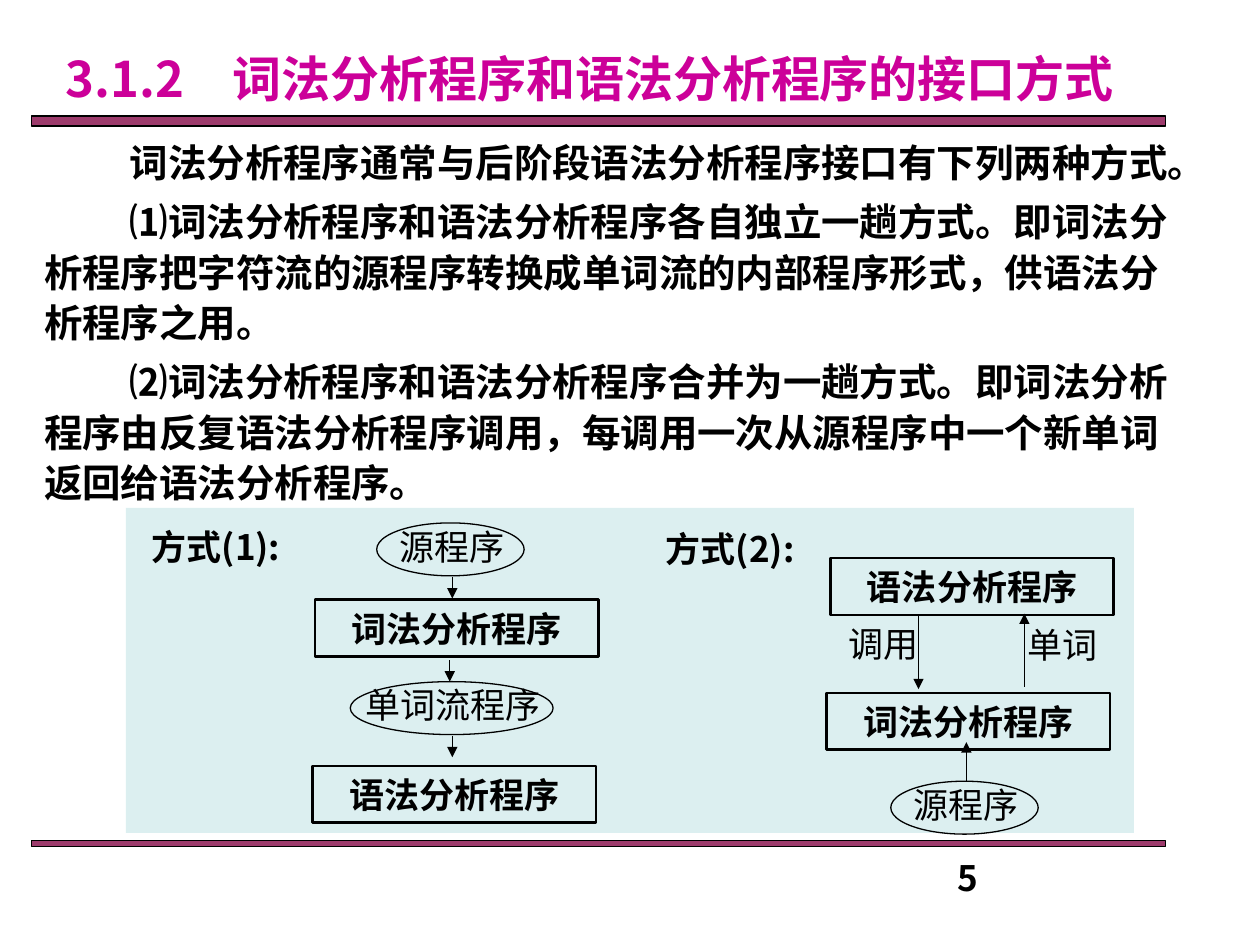
from lxml import etree
from pptx import Presentation
from pptx.dml.color import RGBColor
from pptx.enum.shapes import MSO_CONNECTOR, MSO_SHAPE
from pptx.enum.text import MSO_ANCHOR, MSO_AUTO_SIZE, PP_ALIGN
from pptx.oxml.ns import qn
from pptx.util import Inches, Pt

RECTANGLE, OVAL = MSO_SHAPE.RECTANGLE, MSO_SHAPE.OVAL
STRAIGHT = MSO_CONNECTOR.STRAIGHT
TOP, MIDDLE = MSO_ANCHOR.TOP, MSO_ANCHOR.MIDDLE
LEFT, CENTER = PP_ALIGN.LEFT, PP_ALIGN.CENTER
NO_AUTOFIT = MSO_AUTO_SIZE.NONE

BLACK = RGBColor(0x00, 0x00, 0x00)
MAGENTA = RGBColor(0xCC, 0x00, 0x99)
PLUM = RGBColor(0x99, 0x33, 0x66)
PALE_TEAL = RGBColor(0xBB, 0xE0, 0xE3)
FONT = "Noto Sans CJK SC"

TITLE = "3.1.2　词法分析程序和语法分析程序的接口方式"
BODY = [
    "词法分析程序通常与后阶段语法分析程序接口有下列两种方式。",
    "⑴词法分析程序和语法分析程序各自独立一趟方式。即词法分析程序把字符流的源程序"
    "转换成单词流的内部程序形式，供语法分析程序之用。",
    "⑵词法分析程序和语法分析程序合并为一趟方式。即词法分析程序由反复语法分析程序"
    "调用，每调用一次从源程序中一个新单词返回给语法分析程序。",
]
LEXER, PARSER, SOURCE = "词法分析程序", "语法分析程序", "源程序"
BOX_WIDTH, BOX_HEIGHT = 2.25, 0.45
OVAL_HEIGHT, LABEL_HEIGHT = 0.42, 0.43


def place(shape, left, top, width, height):
    shape.left, shape.top = Inches(left), Inches(top)
    shape.width, shape.height = Inches(width), Inches(height)


def format_paragraph(paragraph, size, color=BLACK, bold=True, align=LEFT):
    paragraph.alignment = align
    font = paragraph.font
    font.name, font.size, font.bold = FONT, Pt(size), bold
    font.color.rgb = color
    properties = paragraph._p.pPr.find(qn("a:defRPr"))
    etree.SubElement(properties, qn("a:ea")).set("typeface", FONT)


def write(shape, text, size=20, color=BLACK, bold=True, align=CENTER, anchor=MIDDLE):
    frame = shape.text_frame
    frame.word_wrap = True
    frame.auto_size = NO_AUTOFIT
    frame.vertical_anchor = anchor
    frame.margin_top = frame.margin_bottom = Inches(0)
    frame.text = text
    format_paragraph(frame.paragraphs[0], size, color, bold, align)


def add_outline(slide, kind, left, top, width, height, line_width):
    shape = slide.shapes.add_shape(
        kind, Inches(left), Inches(top), Inches(width), Inches(height))
    shape.shadow.inherit = False
    shape.fill.background()
    shape.line.color.rgb = BLACK
    shape.line.width = Pt(line_width)
    return shape


def fill_translucent(shape, color, percent):
    shape.fill.solid()
    shape.fill.fore_color.rgb = color
    color_element = shape.fill._xPr.find(qn("a:solidFill"))[0]
    etree.SubElement(color_element, qn("a:alpha")).set("val", str(percent * 1000))


def add_label(slide, text, left, top, width, height=LABEL_HEIGHT, **style):
    label = slide.shapes.add_textbox(
        Inches(left), Inches(top), Inches(width), Inches(height))
    write(label, text, **style)


def add_program(slide, text, left, top):
    box = add_outline(slide, RECTANGLE, left, top, BOX_WIDTH, BOX_HEIGHT, 1.5)
    write(box, text)


def add_data(slide, text, left, top, width):
    add_label(slide, text, left + 0.01, top - 0.03, width, bold=False)
    add_outline(slide, OVAL, left, top, width, OVAL_HEIGHT, 0.75)


def add_arrow(slide, x, start, end):
    arrow = slide.shapes.add_connector(
        STRAIGHT, Inches(x), Inches(start), Inches(x), Inches(end))
    arrow.line.color.rgb = BLACK
    arrow.line.width = Pt(0.75)
    etree.SubElement(arrow.line._get_or_add_ln(), qn("a:tailEnd")).set("type", "triangle")
    etree.SubElement(arrow._element.spPr, qn("a:effectLst"))


def add_rules(slide, left, width):
    for top, height in [(0.92, 0.08), (6.67, 0.05)]:
        rule = add_outline(slide, RECTANGLE, left, top, width, height, 0.75)
        fill_translucent(rule, PLUM, 96)


def add_panel(slide, left, top, width, height):
    panel = add_outline(slide, RECTANGLE, left, top, width, height, 0.75)
    fill_translucent(panel, PALE_TEAL, 50)
    panel.line.fill.background()


def fill_title(slide, left, top, width, height):
    title = slide.shapes.title
    place(title, left, top, width, height)
    write(title, TITLE, size=28, color=MAGENTA, align=LEFT)


def fill_body(slide, left, top, width, height):
    body = slide.placeholders[1]
    place(body, left, top, width, height)
    frame = body.text_frame
    frame.auto_size = NO_AUTOFIT
    frame.text = "\n".join(BODY)
    for paragraph in frame.paragraphs:
        paragraph.line_spacing = Pt(29)
        paragraph.space_before = Pt(4.4)
        properties = paragraph._p.get_or_add_pPr()
        properties.set("marL", "0")
        properties.set("indent", str(Inches(0.68)))
        etree.SubElement(properties, qn("a:buNone"))
        format_paragraph(paragraph, 22)


def draw_separate_passes(slide, left, top):
    add_label(slide, "方式(1):", left, top, 1.33)
    add_data(slide, SOURCE, left + 1.94, top + 0.03, 1.17)
    add_program(slide, LEXER, left + 1.45, top + 0.64)
    add_data(slide, "单词流程序", left + 1.73, top + 1.29, 1.61)
    add_program(slide, PARSER, left + 1.43, top + 1.96)
    for x, start in [(2.54, 0.46), (2.52, 1.12), (2.54, 1.72)]:
        add_arrow(slide, left + x, top + start, top + start + 0.17)


def draw_merged_pass(slide, left, top):
    add_label(slide, "方式(2):", left, top, 1.33)
    add_program(slide, PARSER, left + 1.46, top + 0.29)
    add_program(slide, LEXER, left + 1.43, top + 1.36)
    add_data(slide, SOURCE, left + 1.94, top + 2.06, 1.17)
    add_label(slide, "调用", left + 1.47, top + 0.75, 0.83, bold=False)
    add_label(slide, "单词", left + 2.85, top + 0.76, 0.9, bold=False)
    for x, start, end in [(2.16, 0.75, 1.33), (3, 1.31, 0.73), (2.54, 2.06, 1.75)]:
        add_arrow(slide, left + x, top + start, top + end)


def main():
    presentation = Presentation()
    presentation.slide_width, presentation.slide_height = Inches(10), Inches(7.5)
    slide = presentation.slides.add_slide(presentation.slide_layouts[1])
    add_rules(slide, 0.25, 9)
    add_panel(slide, 1, 4.03, 8, 2.58)
    fill_title(slide, 0.42, 0.33, 8.67, 0.58)
    fill_body(slide, 0.25, 1.02, 9.25, 3.1)
    draw_separate_passes(slide, 1.05, 4.12)
    draw_merged_pass(slide, 5.13, 4.14)
    add_label(slide, "5", 7.5, 6.8, 2.33, 0.27, align=LEFT, anchor=TOP)
    presentation.save("out.pptx")


if __name__ == "__main__":
    main()
